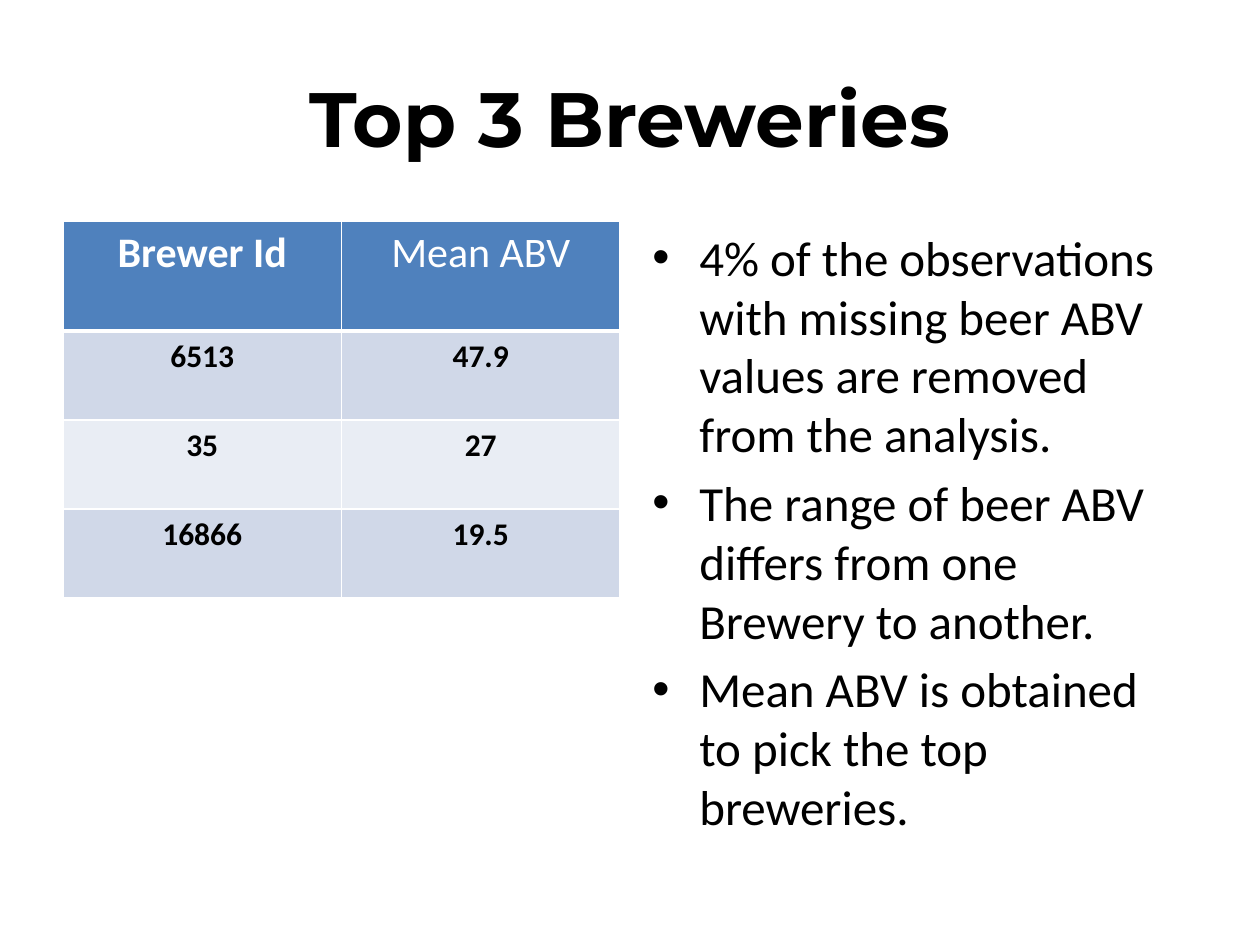
from dataclasses import dataclass

from lxml.etree import SubElement
from pptx import Presentation
from pptx.dml.color import RGBColor
from pptx.enum.text import MSO_ANCHOR, PP_ALIGN
from pptx.oxml.ns import qn
from pptx.util import Emu, Pt

EMU_PER_PIXEL = 914400 / 126
BLACK = RGBColor(0x00, 0x00, 0x00)
WHITE = RGBColor(0xFF, 0xFF, 0xFF)
HEADER_BLUE = RGBColor(0x4F, 0x81, 0xBD)
BAND_DARK = RGBColor(0xD0, 0xD8, 0xE8)
BAND_LIGHT = RGBColor(0xE9, 0xED, 0xF4)


@dataclass(frozen=True)
class Box:
    left: int
    top: int
    width: int
    height: int

    def to_emu(self) -> tuple[Emu, Emu, Emu, Emu]:
        return px(self.left), px(self.top), px(self.width), px(self.height)


@dataclass(frozen=True)
class TextStyle:
    size: int
    color: RGBColor
    bold: bool = False
    font: str = "Calibri"


@dataclass(frozen=True)
class BreweryRow:
    values: tuple[str, str]
    height: int
    fill: RGBColor
    styles: tuple[TextStyle, TextStyle]
    bottom_border: int = 1


TITLE_BOX = Box(63, 38, 1134, 158)
TABLE_BOX = Box(63, 221, 557, 377)
BULLET_BOX = Box(640, 221, 557, 624)
BULLET_INDENT = 47

TITLE_STYLE = TextStyle(44, BLACK, True, "Montserrat")
BULLET_STYLE = TextStyle(28, BLACK)
VALUE_STYLES = (TextStyle(18, BLACK, True),) * 2
HEADER_STYLES = (TextStyle(24, WHITE, True), TextStyle(24, WHITE))

BREWERIES = [("6513", "47.9"), ("35", "27"), ("16866", "19.5")]
ROWS = [BreweryRow(("Brewer Id", "Mean ABV"), 110, HEADER_BLUE, HEADER_STYLES, 3)] + [
    BreweryRow(values, 89, (BAND_DARK, BAND_LIGHT)[index % 2], VALUE_STYLES)
    for index, values in enumerate(BREWERIES)
]
BULLETS = [
    "4% of the observations with missing beer ABV values are removed from the analysis.",
    "The range of beer ABV differs from one Brewery to another.",
    "Mean ABV is obtained to pick the top breweries.",
]


def px(pixels: int) -> Emu:
    return Emu(round(pixels * EMU_PER_PIXEL))


def format_paragraph(paragraph, style: TextStyle, alignment=PP_ALIGN.LEFT) -> None:
    paragraph.alignment = alignment
    for run in paragraph.runs:
        run.font.name = style.font
        run.font.size = Pt(style.size)
        run.font.bold = style.bold
        run.font.color.rgb = style.color


def add_text(slide, box: Box, text: str):
    text_frame = slide.shapes.add_textbox(*box.to_emu()).text_frame
    text_frame.word_wrap = True
    text_frame.text = text
    return text_frame


def add_bullet(paragraph) -> None:
    properties = paragraph._p.get_or_add_pPr()
    properties.set("marL", str(px(BULLET_INDENT)))
    properties.set("indent", str(-px(BULLET_INDENT)))
    spacing = SubElement(properties, qn("a:spcBef"))
    SubElement(spacing, qn("a:spcPct"), val="20000")
    SubElement(properties, qn("a:buFont"), typeface="Arial")
    SubElement(properties, qn("a:buChar"), char="•")


def add_border(cell, side: str, points: int) -> None:
    properties = cell._tc.get_or_add_tcPr()
    line = SubElement(properties, qn(f"a:ln{side}"), w=str(Pt(points)))
    fill = SubElement(line, qn("a:solidFill"))
    SubElement(fill, qn("a:srgbClr"), val=str(WHITE))


def add_brewery_table(slide) -> None:
    table = slide.shapes.add_table(len(ROWS), 2, *TABLE_BOX.to_emu()).table
    for row_index, row in enumerate(ROWS):
        table.rows[row_index].height = px(row.height)
        top_border = ROWS[row_index - 1].bottom_border if row_index else 1
        borders = {"L": 1, "R": 1, "T": top_border, "B": row.bottom_border}
        for column_index, (value, style) in enumerate(zip(row.values, row.styles)):
            cell = table.cell(row_index, column_index)
            cell.text_frame.text = value
            format_paragraph(cell.text_frame.paragraphs[0], style, PP_ALIGN.CENTER)
            for side, points in borders.items():
                add_border(cell, side, points)
            cell.fill.solid()
            cell.fill.fore_color.rgb = row.fill


def main() -> None:
    presentation = Presentation()
    presentation.slide_width = px(1260)
    presentation.slide_height = px(945)
    slide = presentation.slides.add_slide(presentation.slide_layouts[6])

    title = add_text(slide, TITLE_BOX, "Top 3 Breweries")
    title.vertical_anchor = MSO_ANCHOR.MIDDLE
    format_paragraph(title.paragraphs[0], TITLE_STYLE, PP_ALIGN.CENTER)

    bullets = add_text(slide, BULLET_BOX, "\n".join(BULLETS))
    for paragraph in bullets.paragraphs:
        format_paragraph(paragraph, BULLET_STYLE)
        add_bullet(paragraph)

    add_brewery_table(slide)
    presentation.save("out.pptx")


main()
